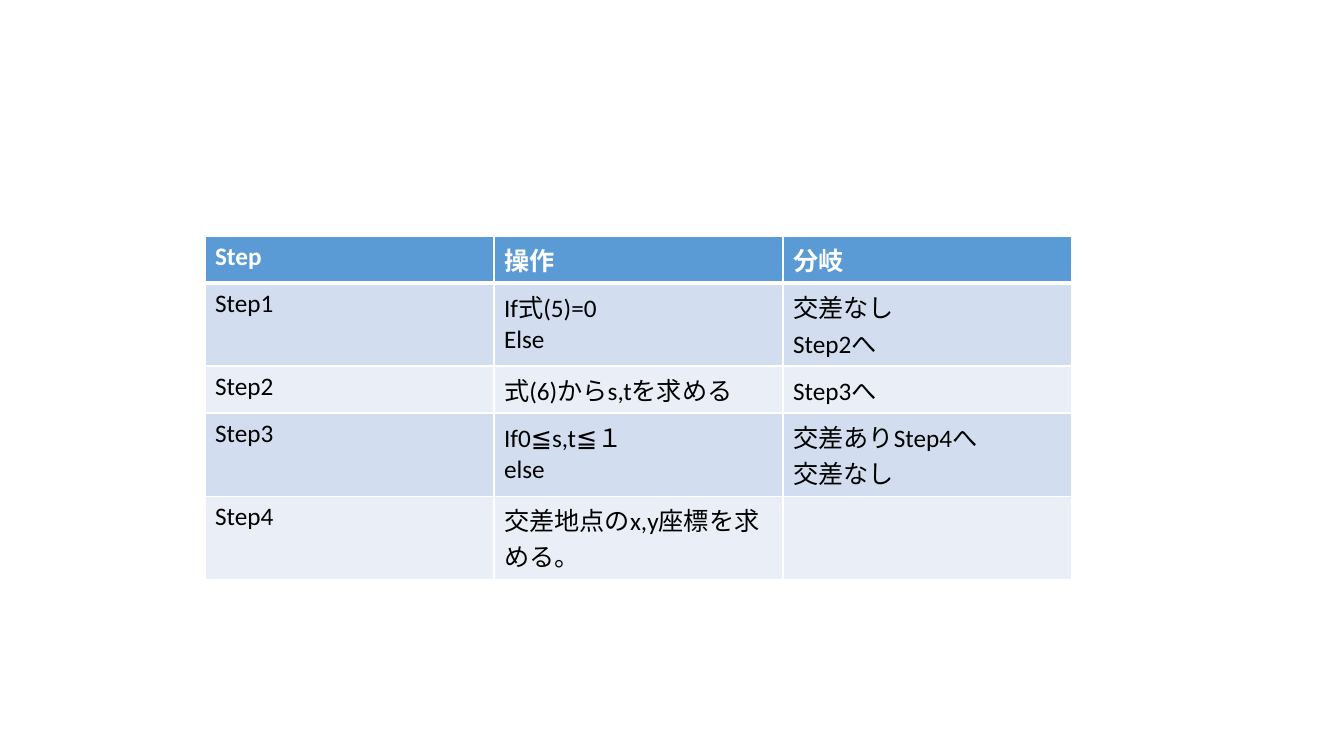
import pptx
import pptx.dml.color
import pptx.enum.lang
import pptx.oxml
import pptx.oxml.ns
import pptx.util

PX = 914400 / 100.8
COLORS = {
    "header": "5B9BD5",
    "odd": "D2DEEF",
    "even": "EAEFF7",
    "border": "FFFFFF",
    "header_text": "FFFFFF",
    "body_text": "000000",
}
STEPS = [
    ["Step", "操作", "分岐"],
    ["Step1", "If式(5)=0\nElse", "交差なし\nStep2へ"],
    ["Step2", "式(6)からs,tを求める", "Step3へ"],
    ["Step3", "If0≦s,t≦１\nelse", "交差ありStep4へ\n交差なし"],
    ["Step4", "交差地点のx,y座標を求める。", ""],
]
ROW_HEIGHTS = [47, 79, 47, 79, 79]


def px(length):
    return pptx.util.Emu(round(length * PX))


def rgb(name):
    return pptx.dml.color.RGBColor.from_string(COLORS[name])


def add_borders(cell, widths):
    """Draw cell borders; widths maps the sides L, R, T, B to points."""
    properties = cell._tc.get_or_add_tcPr()
    for side, width in widths.items():
        properties.append(pptx.oxml.parse_xml(
            f'<a:ln{side} {pptx.oxml.ns.nsdecls("a")} w="{pptx.util.Pt(width)}">'
            f'<a:solidFill><a:srgbClr val="{COLORS["border"]}"/></a:solidFill>'
            f'</a:ln{side}>'))


def fill_cell(cell, text, row):
    header = row == 0
    add_borders(cell, {"L": 1, "R": 1, "T": 3 if row == 1 else 1, "B": 3 if header else 1})
    cell.fill.solid()
    cell.fill.fore_color.rgb = rgb("header" if header else "odd" if row % 2 else "even")
    cell.text = text
    font_format = {
        "name": "Calibri",
        "size": pptx.util.Pt(18),
        "bold": header,
        "language_id": pptx.enum.lang.MSO_LANGUAGE_ID.JAPANESE,
    }
    for para in cell.text_frame.paragraphs:
        for span in para.runs:
            for key, value in font_format.items():
                setattr(span.font, key, value)
            span.font.color.rgb = rgb("header_text" if header else "body_text")


def add_step_table(page, left, top, width):
    columns = len(STEPS[0])
    table = page.shapes.add_table(
        len(STEPS), columns, px(left), px(top), px(width), px(sum(ROW_HEIGHTS))).table
    for column in table.columns:
        column.width = px(width / columns)
    for row, (texts, height) in enumerate(zip(STEPS, ROW_HEIGHTS)):
        table.rows[row].height = px(height)
        for column, text in enumerate(texts):
            fill_cell(table.cell(row, column), text, row)


def main():
    deck = pptx.Presentation()
    deck.slide_width, deck.slide_height = px(1344), px(756)
    page = deck.slides.add_slide(deck.slide_layouts[6])
    add_step_table(page, 205, 236, 867)
    deck.save("out.pptx")


if __name__ == "__main__":
    main()
